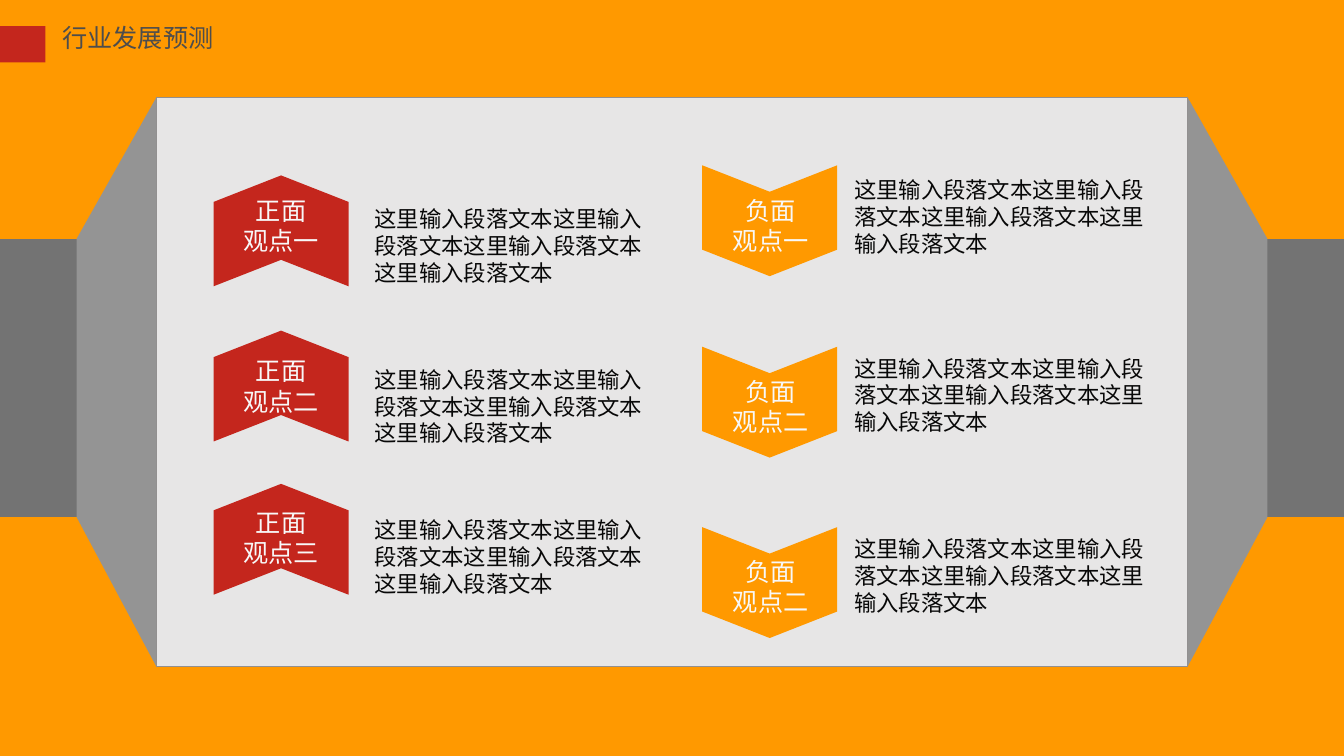
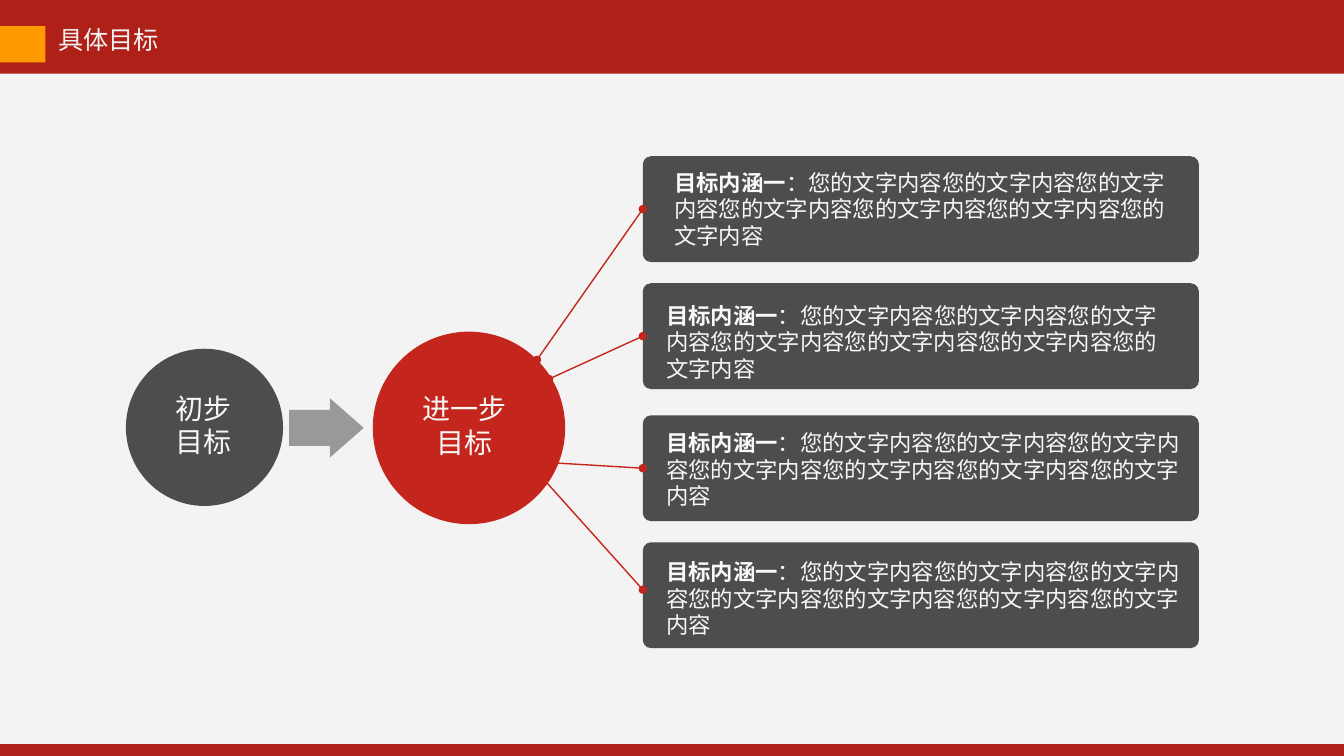
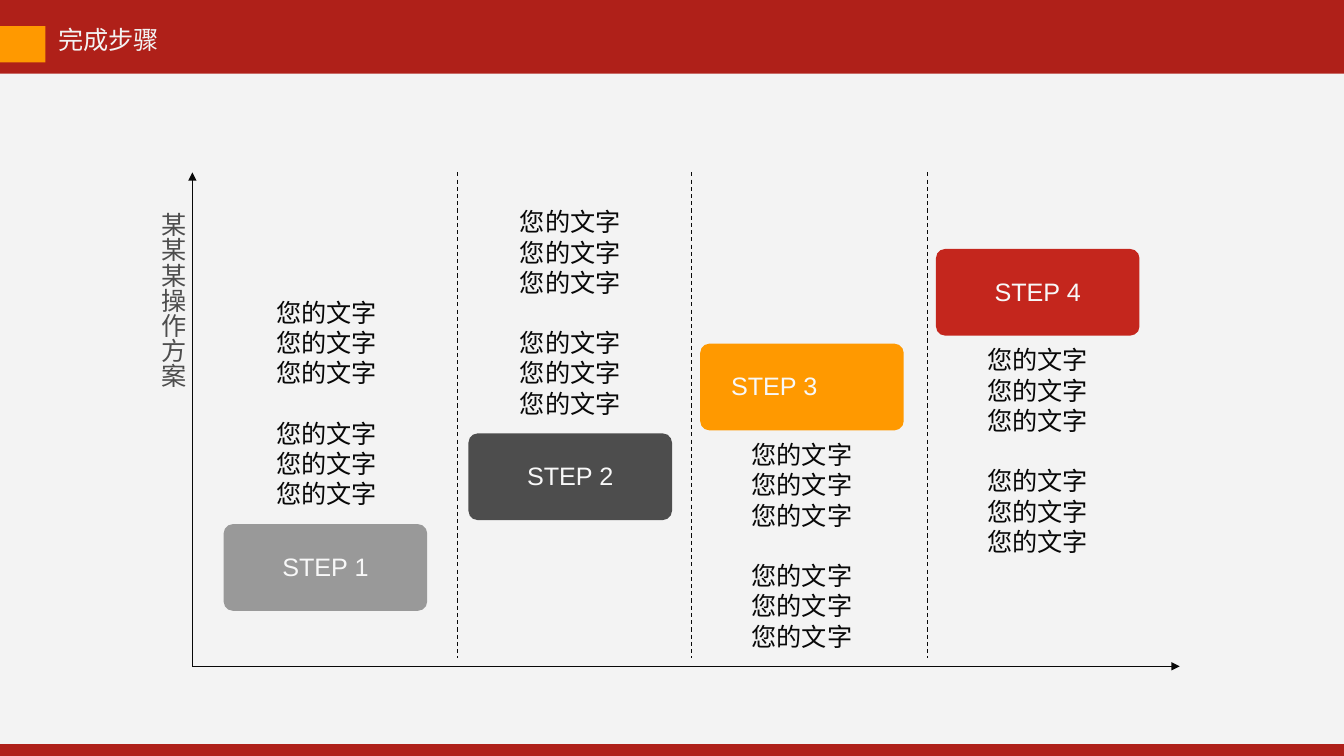
from lxml import etree
from pptx import Presentation
from pptx.dml.color import RGBColor
from pptx.enum.dml import MSO_LINE
from pptx.enum.shapes import MSO_CONNECTOR, MSO_SHAPE as Shape
from pptx.enum.text import MSO_ANCHOR as Anchor, PP_ALIGN as Align
from pptx.oxml.ns import qn
from pptx.util import Inches, Pt

WIDTH, HEIGHT = 13.34, 7.5
CJK, LATIN = "Noto Sans CJK SC", "Arial"
RED, DEEP_RED, ORANGE = "C4261D", "AF2019", "FF9900"
DARK, GREY, PALE, WHITE, BLACK = "4D4D4D", "999999", "F3F3F3", "F8F8F8", "080808"
LINE_HEIGHT = 1.2

VIEW_TEXT = "这里输入段落文本" * 4
VIEW_COLUMNS = [
    dict(color=RED, rotation=270, chevron_left=2.24, label_left=2.31, text_left=3.62, text_width=2.9,
         rows=[("正面\n观点一", 1.62, 1.89, 1.99),
               ("正面\n观点二", 3.16, 3.48, 3.58),
               ("正面\n观点三", 4.68, 4.98, 5.07)]),
    dict(color=ORANGE, rotation=90, chevron_left=7.09, label_left=7.17, text_left=8.38, text_width=3.1,
         rows=[("负面\n观点一", 1.52, 1.89, 1.7),
               ("负面\n观点二", 3.32, 3.68, 3.47),
               ("负面\n观点二", 5.11, 5.47, 5.26)]),
]
SIDE_FACES = [
    ("737373", [(0, 2.37), (0.76, 2.37), (0.76, 5.13), (0, 5.13)]),
    ("949494", [(1.55, 0.97), (0.76, 2.37), (0.76, 5.13), (1.55, 6.61)]),
]

GOAL_HEAD, GOAL_TEXT = "目标内涵一", "：" + "您的文字内容" * 7
GOALS = [
    dict(top=1.55, margins=(0.29, 0.1, 0.26), start=(5.33, 3.57), end=2.07),
    dict(top=2.81, margins=(0.21, 0.16, 0.27), start=(5.45, 3.76), end=3.33),
    dict(top=4.12, margins=(0.21, 0.11, 0.07), start=(5.46, 4.59), end=4.64),
    dict(top=5.38, margins=(0.21, 0.13, 0.07), start=(5.33, 4.68), end=5.85),
]
GOAL_LEFT, GOAL_WIDTH, GOAL_HEIGHT = 6.38, 5.52, 1.05
CIRCLES = [
    ("初步\n目标", 1.25, 3.46, 1.56, DARK, (0, 0, 0.02, 0.05)),
    ("进一步\n目标", 3.7, 3.29, 1.91, RED, (0.14, 0, 0.22, 0.05)),
]

STEP_LINES = "\v".join(["您的文字"] * 3)
STEPS = [
    ("STEP 1", 2.22, 5.2, GREY, Align.CENTER, 2.38, 2.9),
    ("STEP 2", 4.65, 4.3, DARK, Align.CENTER, 4.8, 2),
    ("STEP 3", 6.95, 3.41, ORANGE, Align.LEFT, 7.1, 4.31),
    ("STEP 4", 9.29, 2.47, RED, Align.CENTER, 9.44, 3.37),
]
DIVIDERS = [4.54, 6.86, 9.21]
ORIGIN, AXIS_ENDS = (1.91, 6.61), [(1.91, 1.71), (11.71, 6.61)]


def rgb(color):
    return RGBColor.from_string(color)


def paint(shape, fill, line=None):
    shape.shadow.inherit = False
    shape.fill.solid()
    shape.fill.fore_color.rgb = rgb(fill)
    if line:
        shape.line.color.rgb = rgb(line)
        shape.line.width = Pt(0.75)
    else:
        shape.line.fill.background()
    return shape


def add_block(page, kind, frame, fill, line=None, adjust=()):
    shape = page.shapes.add_shape(kind, *map(Inches, frame))
    for index, value in enumerate(adjust):
        shape.adjustments[index] = value
    return paint(shape, fill, line)


def write(shape, paragraphs, size, color, font=CJK, align=Align.LEFT, before=0,
          margins=(0.1, 0.05, 0.1, 0.05), wrap=True, anchor=Anchor.TOP):
    frame = shape.text_frame
    frame_format = dict(zip(("margin_left", "margin_top", "margin_right", "margin_bottom"),
                            map(Inches, margins)))
    frame_format.update(word_wrap=wrap, vertical_anchor=anchor)
    for name, value in frame_format.items():
        setattr(frame, name, value)
    if isinstance(paragraphs, str):
        paragraphs = [[(text, False)] for text in paragraphs.split("\n")]
    for index, spans in enumerate(paragraphs):
        para = frame.add_paragraph() if index else frame.paragraphs[0]
        para.alignment = align
        para.line_spacing = Pt(size * LINE_HEIGHT)
        if index and before:
            para.space_before = Pt(before)
        for text, bold in spans:
            for line_index, line in enumerate(text.split("\v")):
                if line_index:
                    para.add_line_break()
                span = para.add_run()
                span.text = line
                for name, value in dict(name=font, size=Pt(size), bold=bold).items():
                    setattr(span.font, name, value)
                span.font.color.rgb = rgb(color)
                etree.SubElement(span._r.get_or_add_rPr(), qn("a:ea"), typeface=font)


def add_text(page, frame, text, size, color, **options):
    box = page.shapes.add_textbox(*map(Inches, frame))
    write(box, text, size, color, **options)
    return box


def add_line(page, start, end, color, width, head=None, tail=None, dash=None):
    line = page.shapes.add_connector(MSO_CONNECTOR.STRAIGHT, *map(Inches, start + end))
    line.line.color.rgb = rgb(color)
    line.line.width = Pt(width)
    if dash:
        line.line.dash_style = dash
    properties = line._element.spPr
    outline = properties.find(qn("a:ln"))
    for tag, kind in (("a:headEnd", head), ("a:tailEnd", tail)):
        if kind:
            etree.SubElement(outline, qn(tag), type=kind)
    etree.SubElement(properties, qn("a:effectLst"))
    return line


def add_page(deck, title, title_at, title_color, tab_color, background, panel=False):
    page = deck.slides.add_slide(deck.slide_layouts[6])
    page.background.fill.solid()
    page.background.fill.fore_color.rgb = rgb(background)
    if panel:
        add_block(page, Shape.RECTANGLE, (0, 0.73, WIDTH, 6.65), PALE)
    title_width = 0.21 + 0.25 * len(title)
    add_text(page, (*title_at, title_width, 0.4), title, 18, title_color, wrap=False)
    add_block(page, Shape.RECTANGLE, (0, 0.26, 0.45, 0.36), tab_color)
    return page


def add_red_page(deck, title):
    return add_page(deck, title, (0.48, 0.19), PALE, ORANGE, DEEP_RED, panel=True)


def add_face(page, color, points):
    corners = [(Inches(x), Inches(y)) for x, y in points]
    builder = page.shapes.build_freeform(*corners[0], scale=1.0)
    builder.add_line_segments(corners[1:], close=True)
    paint(builder.convert_to_shape(), color)


def build_forecast(deck):
    page = add_page(deck, "行业发展预测", (0.52, 0.17), DARK, RED, ORANGE)
    for color, points in SIDE_FACES:
        add_face(page, color, points)
        add_face(page, color, [(WIDTH - x, y) for x, y in points])
    add_block(page, Shape.RECTANGLE, (1.55, 0.97, 10.24, 5.64), "E7E6E6", "929090")
    for column in VIEW_COLUMNS:
        for label, chevron_top, label_top, text_top in column["rows"]:
            chevron = add_block(page, Shape.CHEVRON, (column["chevron_left"], chevron_top, 1.1, 1.34),
                                column["color"], adjust=[0.239])
            chevron.rotation = column["rotation"]
            add_text(page, (column["label_left"], label_top, 0.96, 0.71), label, 18, WHITE,
                     align=Align.CENTER, wrap=False)
            add_text(page, (column["text_left"], text_top, column["text_width"], 0.91),
                     VIEW_TEXT, 16, BLACK)


def build_goals(deck):
    page = add_red_page(deck, "具体目标")
    add_block(page, Shape.RIGHT_ARROW, (2.87, 3.95, 0.74, 0.59), GREY, adjust=[0.609, 0.569])
    for goal in GOALS:
        box = add_block(page, Shape.ROUNDED_RECTANGLE,
                        (GOAL_LEFT, goal["top"], GOAL_WIDTH, GOAL_HEIGHT), DARK, adjust=[0.078])
        write(box, [[(GOAL_HEAD, True), (GOAL_TEXT, False)]], 16, WHITE,
              margins=(*goal["margins"], 0))
        link = add_line(page, goal["start"], (GOAL_LEFT, goal["end"]), RED, 1, "oval", "oval")
        if abs(goal["top"] + GOAL_HEIGHT / 2 - goal["end"]) < 0.02:
            link.end_connect(box, 1)
    for text, left, top, size, color, margins in CIRCLES:
        circle = add_block(page, Shape.OVAL, (left, top, size, size), color)
        write(circle, text, 20, WHITE, align=Align.CENTER, margins=margins, anchor=Anchor.MIDDLE)


def build_steps(deck):
    page = add_red_page(deck, "完成步骤")
    for end in AXIS_ENDS:
        add_line(page, ORIGIN, end, BLACK, 0.75, tail="triangle")
    for x in DIVIDERS:
        add_line(page, (x, 1.71), (x, 6.53), BLACK, 0.75, dash=MSO_LINE.DASH)
    for name, left, top, color, align, text_left, text_top in STEPS:
        step = add_block(page, Shape.ROUNDED_RECTANGLE, (left, top, 2.02, 0.86), color, adjust=[0.106])
        write(step, name, 18, WHITE, font=LATIN, align=align, margins=(0.28, 0.24, 0.28, 0))
        add_text(page, (text_left, text_top, 1.72, 2.22), "\n".join([STEP_LINES] * 2), 18, BLACK,
                 align=Align.CENTER, before=18 * LINE_HEIGHT)
    axis_label = add_text(page, (1.42, 2.01, 0.5, 2.71), "某某某操作方案", 18, DARK)
    axis_label.text_frame._txBody.bodyPr.set("vert", "eaVert")


def main():
    deck = Presentation()
    deck.slide_width, deck.slide_height = Inches(WIDTH), Inches(HEIGHT)
    for build in (build_forecast, build_goals, build_steps):
        build(deck)
    deck.save("out.pptx")


if __name__ == "__main__":
    main()
